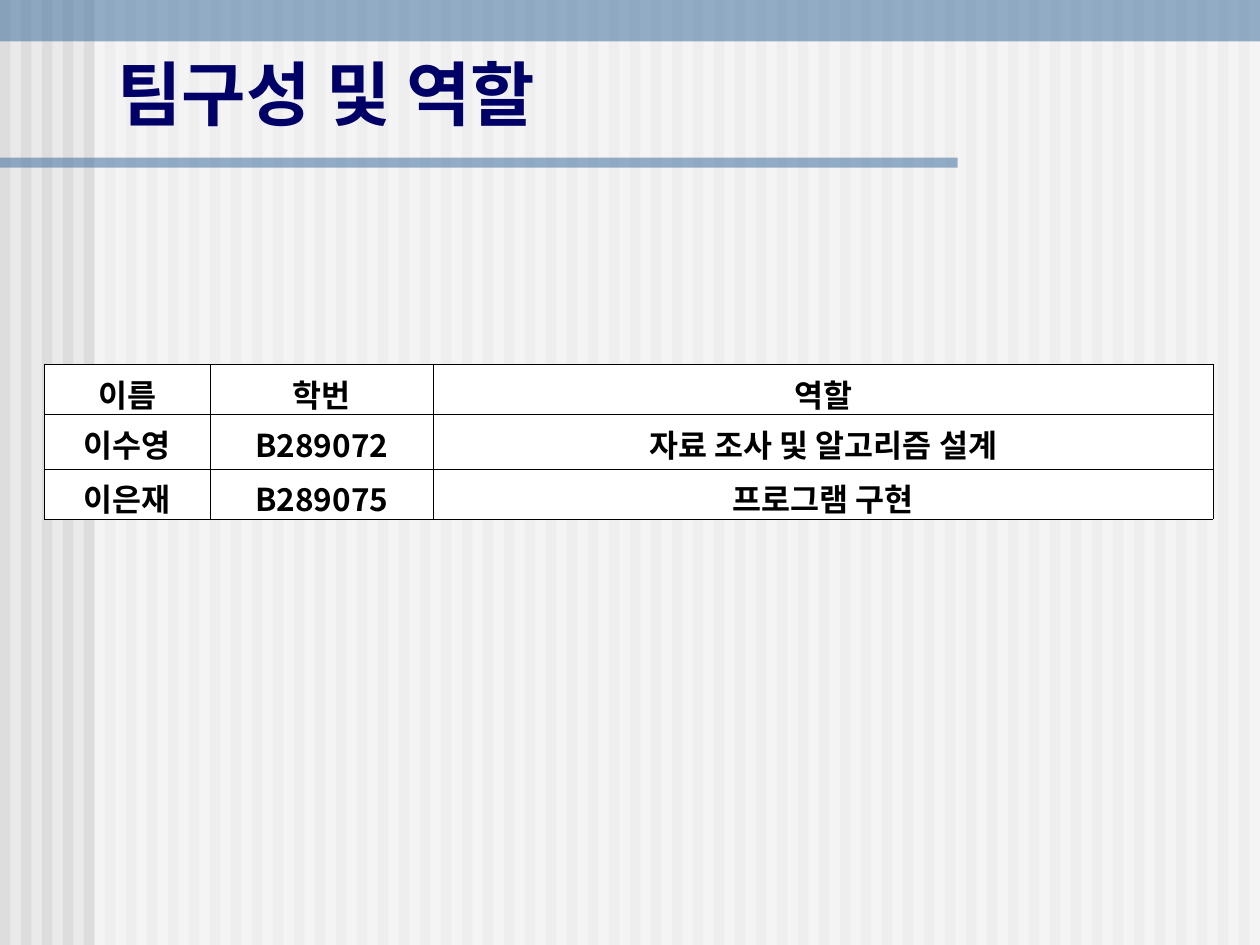
from lxml.etree import SubElement
from pptx import Presentation
from pptx.dml.color import RGBColor
from pptx.enum.shapes import MSO_SHAPE
from pptx.enum.text import MSO_ANCHOR, PP_ALIGN
from pptx.oxml.ns import qn
from pptx.util import Inches, Pt

FONT = "Noto Sans CJK KR"
STRIPE, VEIL, BLUE, NAVY = "DDDDDD", "FFFFFF", "336699", "000066"
BLACK, WHITE, BACKGROUND = "000000", "FFFFFF", "EAEAEA"
STRIPE_COUNT = 60
HEADER = ("이름", "학번", "역할")
MEMBERS = (
    ("이수영", "B289072", "자료 조사 및 알고리즘 설계"),
    ("이은재", "B289075", "프로그램 구현"),
)
COLUMN_WIDTHS = (1.32, 1.77, 6.19)
ROW_HEIGHTS = (0.4, 0.43, 0.4)


def color(hex_string):
    return RGBColor.from_string(hex_string)


def add_rectangle(slide, box, fill, opacity=100):
    shape = slide.shapes.add_shape(MSO_SHAPE.RECTANGLE, *map(Inches, box))
    shape.shadow.inherit = False
    shape.line.fill.background()
    shape.fill.solid()
    shape.fill.fore_color.rgb = color(fill)
    if opacity < 100:
        fill_color = shape.fill._xPr.find(qn("a:solidFill"))[0]
        SubElement(fill_color, qn("a:alpha"), val=str(opacity * 1000))


def write_text(text_frame, text, size, text_color):
    paragraph = text_frame.paragraphs[0]
    paragraph.alignment = PP_ALIGN.CENTER
    run = paragraph.add_run()
    run.text = text
    font_format = {"name": FONT, "size": Pt(size), "bold": True}
    for name, value in font_format.items():
        setattr(run.font, name, value)
    run.font.color.rgb = color(text_color)
    # Korean glyphs take the East Asian typeface
    SubElement(run.font._element, qn("a:ea"), typeface=FONT)


def add_backdrop(slide, box):
    left, top, width, height = box
    pitch = width / STRIPE_COUNT
    for index in range(STRIPE_COUNT):
        stripe = (left + index * pitch, top, pitch / 2, height)
        add_rectangle(slide, stripe, STRIPE)
    add_rectangle(slide, (left + 0.75, top, width - 0.75, height), VEIL, 50)
    add_rectangle(slide, (left, top + 1.25, 7.6, 0.08), BLUE, 50)
    add_rectangle(slide, (left, top, width, 0.33), BLUE, 50)


def add_title(slide, box, text):
    text_frame = slide.shapes.add_textbox(*map(Inches, box)).text_frame
    text_frame.word_wrap = False
    text_frame.vertical_anchor = MSO_ANCHOR.BOTTOM
    write_text(text_frame, text, 40, NAVY)


def add_borders(cell):
    """Draw hairlines on all four sides; they must precede the cell fill."""
    properties = cell._tc.get_or_add_tcPr()
    for side in ("lnL", "lnR", "lnT", "lnB"):
        line = SubElement(properties, qn(f"a:{side}"), w=str(Pt(0.23)))
        fill = SubElement(line, qn("a:solidFill"))
        SubElement(fill, qn("a:srgbClr"), val=BLACK)


def add_team_table(slide, box, rows):
    frame = slide.shapes.add_table(len(rows), len(rows[0]), *map(Inches, box))
    table = frame.table
    for column, width in zip(table.columns, COLUMN_WIDTHS):
        column.width = Inches(width)
    for row, height, texts in zip(table.rows, ROW_HEIGHTS, rows):
        row.height = Inches(height)
        for cell, text in zip(row.cells, texts):
            # No bottom margin, so the lines fit the row heights
            cell.margin_bottom = 0
            add_borders(cell)
            cell.fill.solid()
            cell.fill.fore_color.rgb = color(WHITE)
            write_text(cell.text_frame, text, 18, BLACK)


def main():
    presentation = Presentation()
    presentation.slide_width = Inches(10)
    presentation.slide_height = Inches(7.5)
    slide = presentation.slides.add_slide(presentation.slide_layouts[6])
    slide.background.fill.solid()
    slide.background.fill.fore_color.rgb = color(BACKGROUND)

    add_backdrop(slide, (0, 0, 10, 7.5))
    add_title(slide, (0.7, 0.35, 3.78, 0.77), "팀구성 및 역할")
    table_box = (0.35, 2.89, sum(COLUMN_WIDTHS), sum(ROW_HEIGHTS))
    add_team_table(slide, table_box, (HEADER, *MEMBERS))
    presentation.save("out.pptx")


if __name__ == "__main__":
    main()
